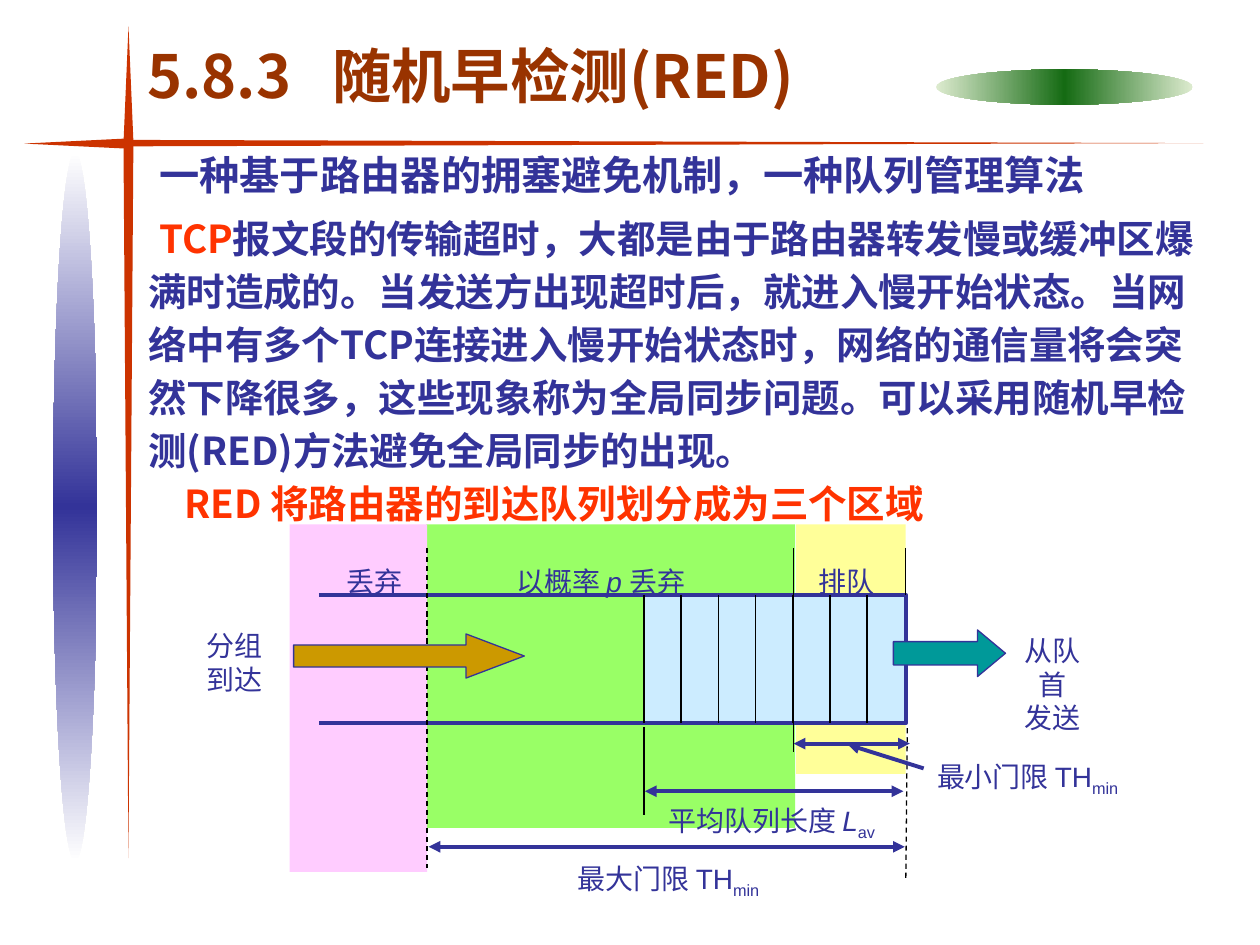
from copy import deepcopy

from lxml.etree import SubElement
from pptx import Presentation
from pptx.dml.color import RGBColor
from pptx.enum.dml import MSO_LINE
from pptx.enum.shapes import MSO_CONNECTOR, MSO_SHAPE
from pptx.enum.text import MSO_ANCHOR, PP_ALIGN
from pptx.oxml.ns import qn
from pptx.util import Cm, Pt

CJK, LATIN = "Noto Sans CJK SC", "Arial"
NAVY, RED, BROWN, BLACK = "333399", "FF3300", "993300", "000000"
CROSS_RED = "CC3300"

TITLE = "5.8.3\t随机早检测(RED)"
TITLE_BOX = (2.72, 0.66, 15.09, 1.7)
TITLE_TAB = 3.72
BODY_BOX = (2.74, 2.77, 21.67, 8)
BODY = [
    (0.22, 0, 23, [("一种基于路由器的拥塞避免机制，一种队列管理算法", NAVY)]),
    (0.22, 5, 22, [
        ("TCP", RED),
        ("报文段的传输超时，大都是由于路由器转发慢或缓冲区爆满时造成的。"
         "当发送方出现超时后，就进入慢开始状态。当网络中有多个TCP连接进入慢开始状态时，"
         "网络的通信量将会突然下降很多，这些现象称为全局同步问题。"
         "可以采用随机早检测(RED)方法避免全局同步的出现。", NAVY)]),
    (0.73, 0, 22, [("RED 将路由器的到达队列划分成为三个区域", RED)]),
]

GRADIENT_ELLIPSES = [
    ((18.87, 1.4, 5.18, 0.71), ("DDEBCF", "156B13"), 0),
    ((1.07, 3.07, 0.89, 14.3), ("FFFFFF", NAVY), 90),
]
CROSS_ARMS = [
    ((2.49, 2.87, 0.2, 14.43), 0),
    ((13.31, -8, 0.13, 21.77), 270),
    ((1.4, 1.88, 0.2, 2.03), 90),
    ((2.49, 0.53, 0.2, 2.34), 180),
]

ZONE_TOP = 10.57
ZONES = [
    (8.59, 7.44, 6.12, "99FF66"),
    (16.05, 2.21, 5.03, "FFFF99"),
    (5.84, 2.77, 7.01, "FFCCFF"),
]
QUEUE_LEFT, QUEUE_RIGHT = 12.98, 18.26
QUEUE_TOP, QUEUE_BOTTOM = 11.99, 14.58
BUFFER_LEFT = 6.43
CELL_COUNT, CELL_WIDTH = 7, 0.75
MARK_TOP, MIN_MARK, MAX_MARK = 11.05, 16, 8.61

GUIDES = [
    (MIN_MARK, MARK_TOP, MIN_MARK, 15.16, False),
    (QUEUE_RIGHT, MARK_TOP, QUEUE_RIGHT, QUEUE_TOP, False),
    (QUEUE_LEFT, 14.66, QUEUE_LEFT, 16.43, False),
    (MAX_MARK, MARK_TOP, MAX_MARK, 17.5, True),
    (18.29, 14.68, QUEUE_RIGHT, 17.75, True),
]
MEASURES = [
    (13, 15.95, 18.21, 15.95, ("headEnd", "tailEnd")),
    (MIN_MARK, 14.99, 18.34, 14.99, ("headEnd", "tailEnd")),
    (8.64, 17.07, 18.24, 17.07, ("headEnd", "tailEnd")),
    (18.62, 15.49, 17.09, 15.01, ("tailEnd",)),
]
FLOW_ARROWS = [
    ((18.01, 12.7, 2.26, 0.94), 0.6, "009999"),
    ((5.92, 12.78, 4.65, 0.89), 1.32, "CC9900"),
]
LABELS = [
    ((20.12, 12.65, 2.18, 1.63), [[("从队首", "")], [("发送", "")]]),
    ((3.91, 12.55, 1.63, 1.63), [[("分组", "")], [("到达", "")]]),
    ((18.64, 15.19, 4.57, 1.04), [[("最小门限 TH", ""), ("min", "sub")]]),
    ((11.4, 17.25, 4.29, 1.04), [[("最大门限 TH", ""), ("min", "sub")]]),
    ((13.23, 16.08, 4.8, 1.04),
     [[("平均队列长度 ", ""), ("L", "italic"), ("av", "sub")]]),
    ((16.26, 11.25, 1.63, 0.94), [[("排队", "")]]),
    ((6.73, 11.25, 1.63, 0.94), [[("丢弃", "")]]),
    ((10.16, 11.25, 4.19, 0.94),
     [[("以概率 ", ""), ("p ", "italic"), ("丢弃", "")]]),
]


def rgb(value):
    return RGBColor.from_string(value)


def lengths(values):
    return [Cm(value) for value in values]


def style_span(span, size, color, latin, bold=False):
    font = span.font
    font.size, font.bold, font.name = Pt(size), bold, latin
    font.color.rgb = rgb(color)
    SubElement(span._r.get_or_add_rPr(), qn("a:ea")).set("typeface", CJK)


def add_span(para, text, *style):
    span = para.add_run()
    span.text = text
    style_span(span, *style)
    return span


def add_solid(page, kind, box, color, outlined=False):
    shape = page.shapes.add_shape(kind, *lengths(box))
    shape.shadow.inherit = False
    shape.fill.solid()
    shape.fill.fore_color.rgb = rgb(color)
    if outlined:
        shape.line.color.rgb, shape.line.width = rgb(NAVY), Pt(0.75)
    else:
        shape.line.fill.background()
    return shape


def add_gradient_ellipse(page, box, colors, angle):
    edge, middle = colors
    shape = add_solid(page, MSO_SHAPE.OVAL, box, edge)
    shape.fill.gradient()
    shape.fill.gradient_angle = angle
    stop_list = shape.fill._fill._gradFill.find(qn("a:gsLst"))
    stop_list.append(deepcopy(stop_list[-1]))
    stops = zip(shape.fill.gradient_stops, (edge, middle, edge), (0, 0.5, 1))
    for stop, color, position in stops:
        stop.color.rgb, stop.position = rgb(color), position


def add_line(page, ends, color, width, dashed=False, heads=()):
    line = page.shapes.add_connector(MSO_CONNECTOR.STRAIGHT, *lengths(ends))
    line.line.color.rgb, line.line.width = rgb(color), Pt(width)
    if dashed:
        line.line.dash_style = MSO_LINE.DASH
    for head in heads:
        SubElement(line.line._get_or_add_ln(), qn(f"a:{head}")).set("type", "triangle")
    SubElement(line._element.spPr, qn("a:effectLst"))


def add_title(page):
    title = page.shapes.title
    title.left, title.top, title.width, title.height = lengths(TITLE_BOX)
    frame = title.text_frame
    frame.text = TITLE
    frame.vertical_anchor = MSO_ANCHOR.TOP
    para = frame.paragraphs[0]
    para.alignment = PP_ALIGN.LEFT
    tabs = SubElement(para._p.get_or_add_pPr(), qn("a:tabLst"))
    tab = SubElement(tabs, qn("a:tab"))
    tab.set("pos", str(Cm(TITLE_TAB)))
    tab.set("algn", "l")
    for span in para.runs:
        style_span(span, 34, BROWN, CJK, True)


def add_body(page):
    frame = page.shapes.add_textbox(*lengths(BODY_BOX)).text_frame
    frame.word_wrap = True
    for index, (indent, before, size, spans) in enumerate(BODY):
        para = frame.add_paragraph() if index else frame.paragraphs[0]
        para.line_spacing, para.space_before = 1.15, Pt(before)
        para._p.get_or_add_pPr().set("indent", str(Cm(indent)))
        for text, color in spans:
            add_span(para, text, size, color, CJK, True)


def add_label(page, box, rows):
    frame = page.shapes.add_textbox(*lengths(box)).text_frame
    frame.word_wrap = False
    for index, row in enumerate(rows):
        para = frame.add_paragraph() if index else frame.paragraphs[0]
        para.alignment = PP_ALIGN.CENTER if len(rows) > 1 else PP_ALIGN.LEFT
        for text, style in row:
            span = add_span(para, text, 16, NAVY, LATIN)
            span.font.italic = style == "italic"
            if style == "sub":
                span._r.get_or_add_rPr().set("baseline", "-25000")


def add_queue(page):
    for left, width, height, color in ZONES:
        add_solid(page, MSO_SHAPE.RECTANGLE, (left, ZONE_TOP, width, height), color)
    queue_box = (QUEUE_LEFT, QUEUE_TOP, QUEUE_RIGHT - QUEUE_LEFT, QUEUE_BOTTOM - QUEUE_TOP)
    add_solid(page, MSO_SHAPE.RECTANGLE, queue_box, "CCECFF")
    builder = page.shapes.build_freeform(Cm(BUFFER_LEFT), Cm(QUEUE_TOP))
    corners = [(QUEUE_RIGHT, QUEUE_TOP), (QUEUE_RIGHT, QUEUE_BOTTOM), (BUFFER_LEFT, QUEUE_BOTTOM)]
    builder.add_line_segments([lengths(corner) for corner in corners], close=False)
    buffer = builder.convert_to_shape()
    buffer.shadow.inherit = False
    buffer.fill.background()
    buffer.line.color.rgb, buffer.line.width = rgb(NAVY), Pt(2.25)
    for cell in range(CELL_COUNT):
        x = QUEUE_LEFT + cell * CELL_WIDTH
        add_line(page, (x, QUEUE_TOP, x, QUEUE_BOTTOM), BLACK, 0.75)


def main():
    deck = Presentation()
    deck.slide_width, deck.slide_height = Cm(25.4), Cm(19.05)
    page = deck.slides.add_slide(deck.slide_layouts[5])
    for box, colors, angle in GRADIENT_ELLIPSES:
        add_gradient_ellipse(page, box, colors, angle)
    for box, rotation in CROSS_ARMS:
        add_solid(page, MSO_SHAPE.FLOWCHART_MERGE, box, CROSS_RED).rotation = rotation
    add_title(page)
    add_body(page)
    add_queue(page)
    for *ends, dashed in GUIDES:
        add_line(page, ends, BLACK, 0.75, dashed)
    for box, head_length, color in FLOW_ARROWS:
        arrow = add_solid(page, MSO_SHAPE.RIGHT_ARROW, box, color, True)
        arrow.adjustments[0], arrow.adjustments[1] = 0.5, head_length
    for box, rows in LABELS:
        add_label(page, box, rows)
    for *ends, heads in MEASURES:
        add_line(page, ends, NAVY, 2.25, heads=heads)
    deck.save("out.pptx")


if __name__ == "__main__":
    main()
